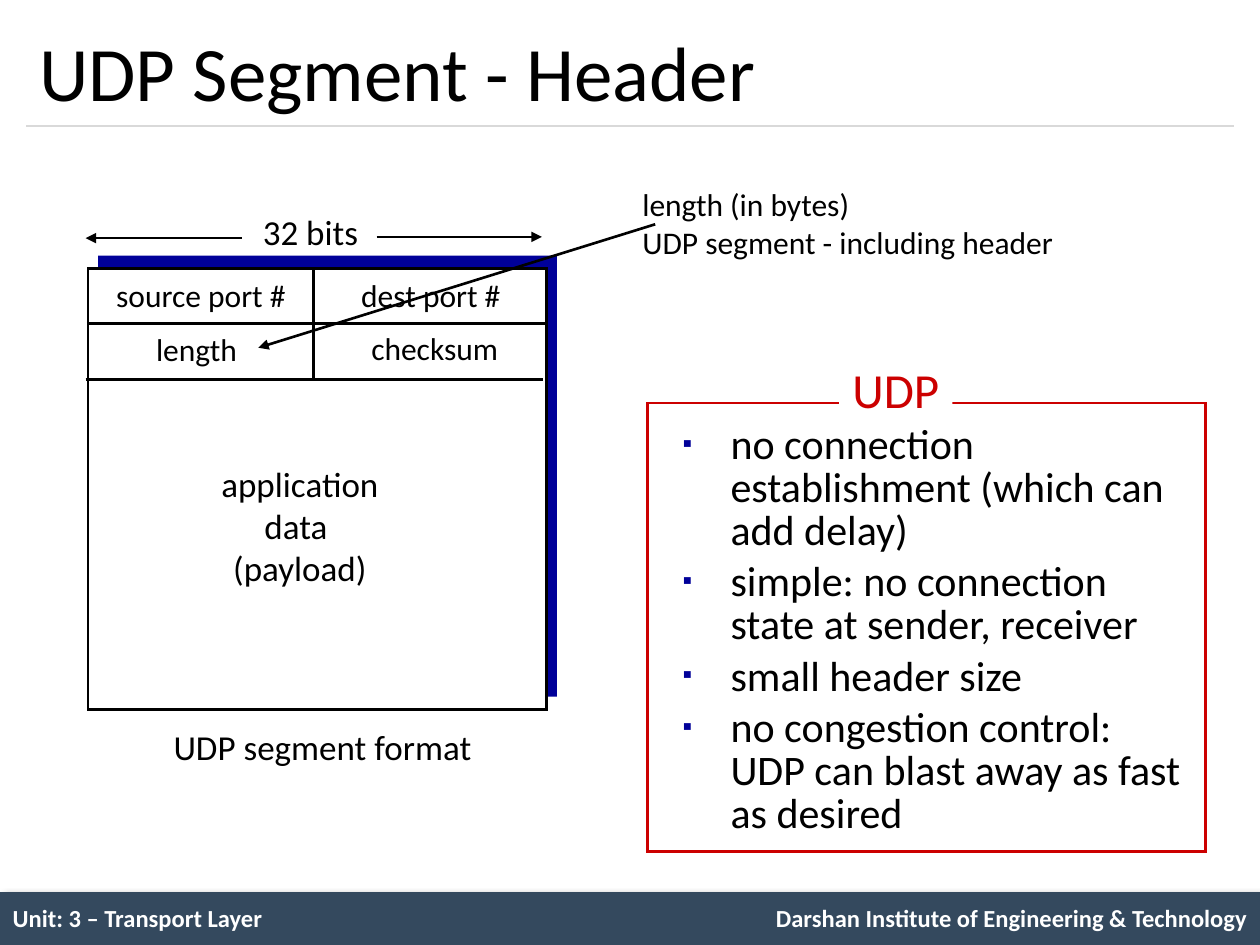
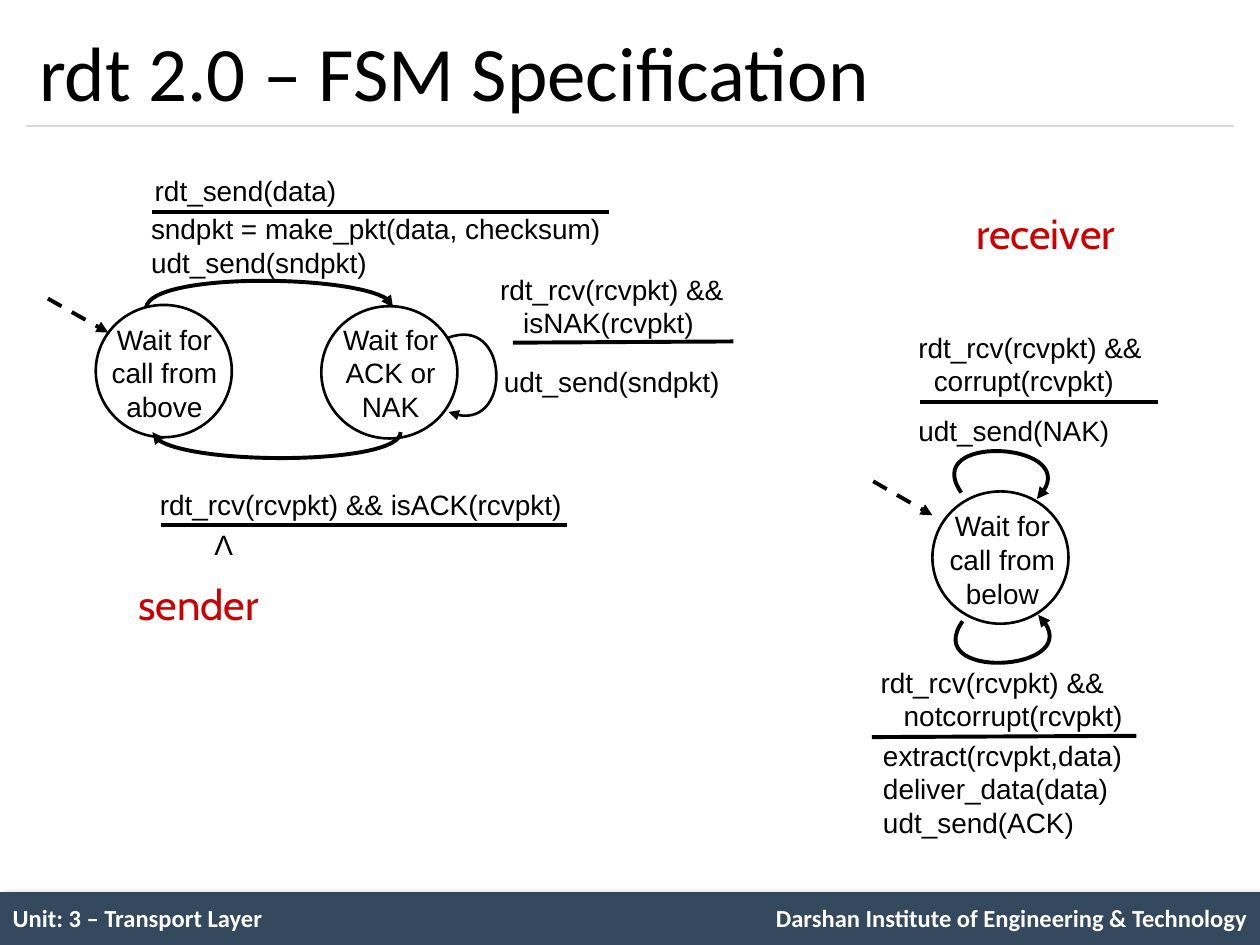
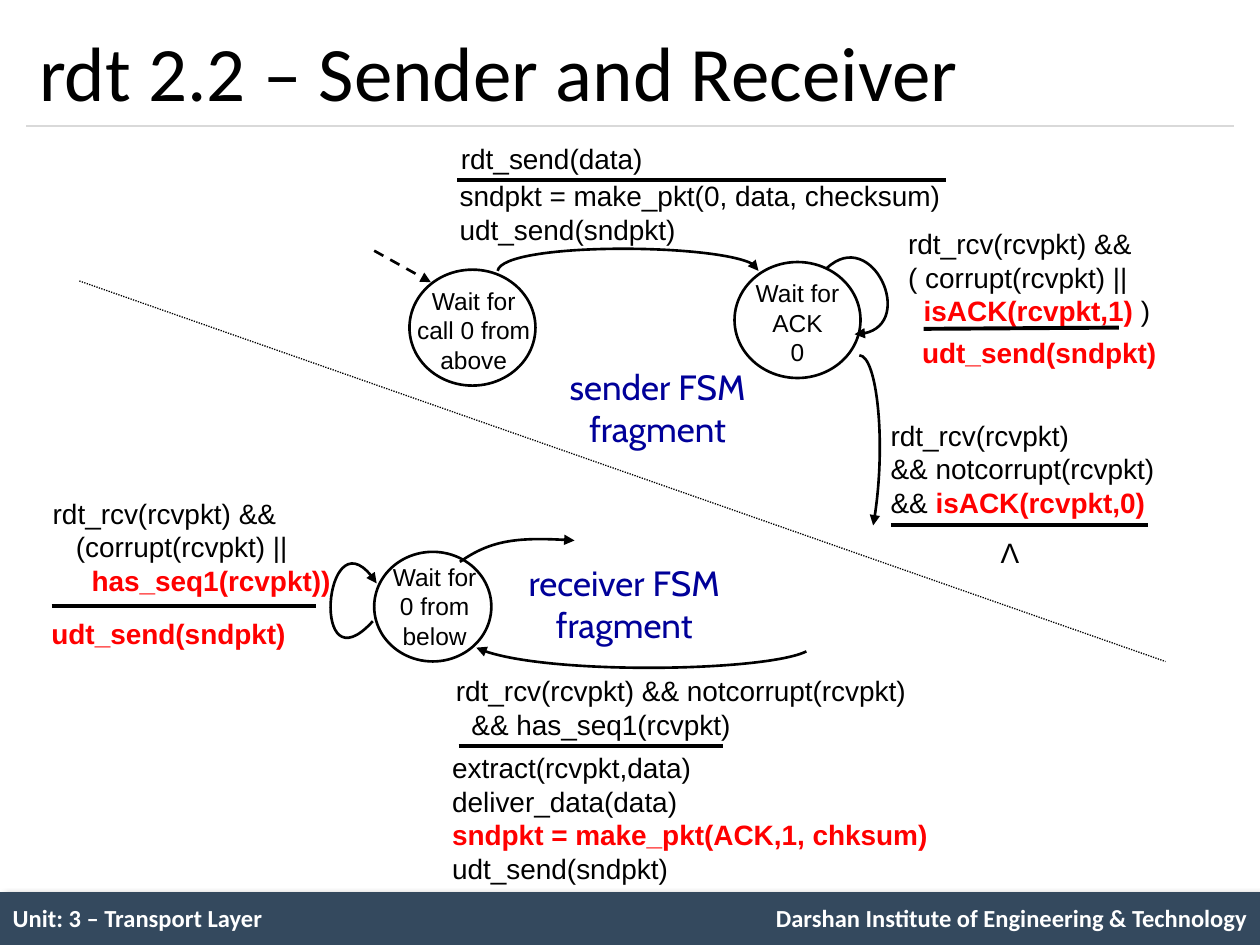
import lxml.etree
import pptx
import pptx.dml.color
import pptx.enum.dml
import pptx.enum.shapes
import pptx.enum.text
import pptx.oxml.ns
import pptx.util

BLACK = pptx.dml.color.RGBColor(0x00, 0x00, 0x00)
WHITE = pptx.dml.color.RGBColor(0xFF, 0xFF, 0xFF)
SLATE = pptx.dml.color.RGBColor(0x34, 0x49, 0x5E)
GREY = pptx.dml.color.RGBColor(0xD9, 0xD9, 0xD9)
NAVY = pptx.dml.color.RGBColor(0x00, 0x00, 0x99)
RED = pptx.dml.color.RGBColor(0xCC, 0x00, 0x00)
HOT = pptx.dml.color.RGBColor(0xFF, 0x00, 0x00)

LEFT = pptx.enum.text.PP_ALIGN.LEFT
MID = pptx.enum.text.PP_ALIGN.CENTER
RIGHT = pptx.enum.text.PP_ALIGN.RIGHT
CENTRE = pptx.enum.text.MSO_ANCHOR.MIDDLE
DASH = pptx.enum.dml.MSO_LINE.DASH
DOTS = pptx.enum.dml.MSO_LINE.ROUND_DOT
RECT = pptx.enum.shapes.MSO_SHAPE.RECTANGLE
OVAL = pptx.enum.shapes.MSO_SHAPE.OVAL
PLAIN = "{2D5ABB26-0587-4C30-8999-92F81FD0307C}"  # table style without grid

WIDE, HIGH = 10, 7.5
EDGE = 0.21
BAND = 7.08
THIN, BOLD = 1.5, 2.25

# Text styles: font, size, colour, alignment
STYLES = {
    "title": ("Calibri", 44, BLACK, LEFT),
    "foot": ("Calibri", 14, WHITE, LEFT),
    "foot end": ("Calibri", 14, WHITE, RIGHT),
    "code": ("Arial", 16, BLACK, LEFT),
    "mark": ("Arial", 16, BLACK, MID),
    "state": ("Arial", 16, BLACK, MID),
    "small state": ("Arial", 14, BLACK, MID),
    "role": ("Cabin", 24, RED, MID),
    "part": ("Cabin", 20, NAVY, MID),
    "field": ("Calibri", 18, BLACK, MID),
    "label": ("Calibri", 20, BLACK, MID),
    "callout": ("Calibri", 18, BLACK, LEFT),
    "points": ("Calibri", 24, BLACK, LEFT),
    "head": ("Calibri", 28, RED, MID),
}

# Shared footer
FOOT = [(5.08, "Unit: 3 – Transport Layer", "foot"), (0.67, "", "foot"),
        (4.25, "Darshan Institute of Engineering & Technology", "foot end")]

# Segment slide; texts: left, top, width, style, lines
SEGMENT = [
    (0.81, 2.14, 1.57, "field", ["source port #"]),
    (2.76, 2.14, 1.32, "field", ["dest port #"]),
    (1.13, 2.57, 0.86, "field", ["length"]),
    (2.84, 2.56, 1.22, "field", ["checksum"]),
    (1.98, 1.62, 0.97, "label", ["32 bits"]),
    (1.62, 3.62, 1.52, "label", ["application", "data ", "(payload)"]),
    (1.26, 5.71, 2.6, "label", ["UDP segment format"]),
    (5, 1.42, 3.5, "callout",
     ["length (in bytes)", "UDP segment - including header"]),
]
GRID = [(0.69, 2.57, 4.33, 2.57), (0.68, 3.01, 4.31, 3.01),
        (2.49, 2.56, 2.49, 2.13), (2.49, 3.01, 2.49, 2.58)]
ARROWS = [(2.99, 1.88, 4.3, 1.88), (1.92, 1.89, 0.68, 1.89),
          (5.2, 1.78, 2.05, 2.76)]
POINTS = [
    "no connection establishment (which can add delay)",
    "simple: no connection state at sender, receiver",
    "small header size",
    "no congestion control: UDP can blast away as fast as desired",
]

# State machine slides. Asterisks enclose the red bold words of a line.
# states: left, top, width, height; rules and starts: from, to;
# curves: line width, turn, four control points, arrow at the last
STOP_WAIT = {
    "title": "rdt 2.0 – FSM Specification",
    "start": BOLD,
    "states": [(0.76, 2.42, 1.08, 1.05), (2.55, 2.43, 1.08, 1.05),
               (7.4, 3.9, 1.08, 1.05)],
    "texts": [
        (0.65, 2.51, 1.31, "state", ["Wait for call from above"]),
        (2.51, 2.51, 1.18, "state", ["Wait for ACK or NAK"]),
        (7.3, 3.99, 1.31, "state", ["Wait for call from below"]),
        (1.13, 1.33, 2.47, "code", ["rdt_send(data)"]),
        (1.1, 1.63, 3.98, "code",
         ["sndpkt = make_pkt(data, checksum)", "udt_send(sndpkt)"]),
        (3.87, 2.11, 2.28, "code",
         ["rdt_rcv(rcvpkt) &&", "   isNAK(rcvpkt)"]),
        (3.9, 2.84, 1.93, "code", ["udt_send(sndpkt)"]),
        (1.17, 3.82, 3.88, "code", ["rdt_rcv(rcvpkt) && isACK(rcvpkt)"]),
        (1.6, 4.14, 0.35, "mark", ["Λ"]),
        (0.98, 4.54, 1.19, "role", ["sender"]),
        (7.62, 1.6, 1.36, "role", ["receiver"]),
        (7.19, 2.57, 2.1, "code",
         ["rdt_rcv(rcvpkt) &&", "  corrupt(rcvpkt)"]),
        (7.19, 3.23, 2, "code", ["udt_send(NAK)"]),
        (6.89, 5.23, 2.36, "code",
         ["rdt_rcv(rcvpkt) &&", "   notcorrupt(rcvpkt)"]),
        (6.91, 5.81, 2.34, "code",
         ["extract(rcvpkt,data)", "deliver_data(data)", "udt_send(ACK)"]),
    ],
    "rules": [(1.21, 1.68, 4.83, 1.68), (4.07, 2.72, 5.82, 2.71),
              (1.28, 4.17, 4.5, 4.17), (7.3, 3.19, 9.19, 3.19),
              (6.92, 5.85, 9.02, 5.84)],
    "starts": [(0.38, 2.37, 0.86, 2.64), (6.93, 3.82, 7.4, 4.09)],
    "curves": [
        (BOLD, 0, (1.16, 2.44), (1.2, 2.16), (3.12, 2.18), (3.12, 2.44)),
        (BOLD, 0, (3.18, 3.43), (3.18, 3.69), (1.25, 3.7), (1.21, 3.43)),
        (THIN, 0, (3.56, 2.68), (4.04, 2.5), (4.07, 3.48), (3.56, 3.27)),
        (BOLD, 0, (7.63, 3.91), (7.3, 3.44), (8.67, 3.51), (8.23, 3.96)),
        (BOLD, 0, (7.64, 4.93), (7.31, 5.4), (8.69, 5.33), (8.24, 4.88)),
    ],
}
NAK_FREE = {
    "title": "rdt 2.2 – Sender and Receiver",
    "start": THIN,
    "states": [(3.25, 2.14, 1, 0.92), (5.83, 2.08, 1, 0.92),
               (2.97, 4.38, 0.93, 0.87)],
    "texts": [
        (3.18, 2.22, 1.16, "small state", ["Wait for call 0 from above"]),
        (5.75, 2.16, 1.16, "small state", ["Wait for ACK", "0"]),
        (3.01, 4.41, 0.88, "small state", ["Wait for", "0 from below"]),
        (3.56, 1.07, 1.89, "code", ["rdt_send(data)"]),
        (3.55, 1.37, 4.07, "code",
         ["sndpkt = make_pkt(0, data, checksum)", "udt_send(sndpkt)"]),
        (7.11, 1.75, 2.8, "code",
         ["rdt_rcv(rcvpkt) &&", "( corrupt(rcvpkt) ||",
          "  *isACK(rcvpkt,1)* )"]),
        (7.22, 2.61, 2.32, "code", ["*udt_send(sndpkt)*"]),
        (6.97, 3.27, 2.64, "code",
         ["rdt_rcv(rcvpkt)", "&& notcorrupt(rcvpkt)",
          "&& *isACK(rcvpkt,0)*"]),
        (7.81, 4.2, 0.41, "mark", ["Λ"]),
        (4.41, 2.85, 1.62, "part", ["sender FSM", "fragment"]),
        (4.07, 4.41, 1.77, "part", ["receiver FSM", "fragment"]),
        (0.32, 3.89, 2.58, "code",
         ["rdt_rcv(rcvpkt) &&", "   (corrupt(rcvpkt) ||",
          "     *has_seq1(rcvpkt))*"]),
        (0.31, 4.84, 2.23, "code", ["*udt_send(sndpkt)*"]),
        (3.52, 5.3, 4.31, "code",
         ["rdt_rcv(rcvpkt) && notcorrupt(rcvpkt)",
          "  && has_seq1(rcvpkt)"]),
        (3.49, 5.91, 4.57, "code",
         ["extract(rcvpkt,data)", "deliver_data(data)",
          "*sndpkt = make_pkt(ACK,1, chksum)*", "udt_send(sndpkt)"]),
    ],
    "rules": [(3.63, 1.43, 7.51, 1.43), (7.33, 2.61, 8.88, 2.6),
              (7.07, 4.17, 9.11, 4.17), (0.41, 4.81, 2.51, 4.81),
              (3.64, 5.92, 5.74, 5.92)],
    "starts": [(2.97, 1.99, 3.42, 2.24)],
    "curves": [
        (THIN, 0, (3.95, 2.15), (3.99, 1.92), (6.02, 1.93), (6.02, 2.15)),
        (THIN, 337.4,
         (6.66, 2.01), (7.12, 1.84), (7.15, 2.78), (6.66, 2.58)),
        (THIN, 0, (6.82, 2.82), (6.96, 2.82), (7.04, 3.56), (6.93, 4.17)),
        (THIN, 0, (3.65, 4.46), (3.89, 4.29), (4.13, 4.26), (4.56, 4.29)),
        (THIN, 0, (6.4, 5.17), (6.07, 5.33), (4.24, 5.36), (3.78, 5.14)),
        (THIN, 0, (2.96, 4.93), (2.46, 5.48), (2.58, 4), (2.99, 4.63)),
    ],
}


def inch(*sizes):
    return [pptx.util.Inches(size) for size in sizes]


def name(tag):
    return pptx.oxml.ns.qn(tag)


def node(parent, tag, **attrs):
    return lxml.etree.SubElement(parent, name(tag), **attrs)


def write(frame, lines, style, bold=False):
    """Fill a text frame, one paragraph a line, run by run."""
    font, size, ink, align = STYLES[style]
    for i, words in enumerate(lines):
        para = frame.add_paragraph() if i else frame.paragraphs[0]
        para.alignment = align
        for j, part in enumerate(words.split("*")):
            if part:
                hot = j % 2 == 1
                run = para.add_run()
                run.text = part
                run.font.name = font
                run.font.size = pptx.util.Pt(size)
                run.font.bold = bold or hot
                run.font.color.rgb = HOT if hot else ink


def text(slide, left, top, width, style, lines, high=None):
    size, align = STYLES[style][1], STYLES[style][3]
    state = "state" in style
    high = high or (0.67 if state else len(lines) * size / 60 + 0.1)
    box = slide.shapes.add_textbox(*inch(left, top, width, high))
    box.text_frame.word_wrap = align == LEFT or state
    write(box.text_frame, lines, style)
    return box.text_frame


def stroke(item, width, ink=BLACK, dash=None, arrow=False):
    item.line.color.rgb = ink
    item.line.width = pptx.util.Pt(width)
    if dash:
        item.line.dash_style = dash
    edge = item.element.spPr.find(name("a:ln"))
    node(edge, "a:miter", lim="800000")
    if arrow:
        node(edge, "a:tailEnd", type="triangle")


def shape(slide, kind, left, top, width, high, fill=None, ink=None):
    item = slide.shapes.add_shape(kind, *inch(left, top, width, high))
    item.shadow.inherit = False
    if fill is None:
        item.fill.background()
    else:
        item.fill.solid()
        item.fill.fore_color.rgb = fill
    if ink is None:
        item.line.fill.background()
    else:
        stroke(item, THIN, ink)
    return item


def line(slide, ends, width=THIN, ink=BLACK, dash=None, arrow=False):
    item = slide.shapes.add_connector(
        pptx.enum.shapes.MSO_CONNECTOR.STRAIGHT, *inch(*ends))
    stroke(item, width, ink, dash, arrow)
    node(item.element.spPr, "a:effectLst")
    return item


def curve(slide, width, turn, *knots):
    """Draw a cubic curve with an arrow at its end."""
    dots = [inch(*knot) for knot in knots]
    pen = slide.shapes.build_freeform(*dots[0])
    pen.add_line_segments(dots[1:], close=False)
    item = pen.convert_to_shape()
    track = next(item.element.iter(name("a:path")))
    bend = node(track, "a:cubicBezTo")
    for leg in track.findall(name("a:lnTo")):
        bend.append(leg[0])
        track.remove(leg)
    item.rotation = turn
    item.shadow.inherit = False
    item.fill.background()
    stroke(item, width, arrow=True)


def dress(layout, slide):
    """Draw the band, rule and footer, and hand them to the layout."""
    for holder in list(layout.placeholders):
        if holder.placeholder_format.idx:
            layout.shapes.element.remove(holder.element)
    band = shape(slide, RECT, 0, BAND, WIDE, HIGH - BAND, SLATE)
    glow = node(band.element.spPr.find(name("a:effectLst")), "a:outerShdw",
                blurRad="50800", dist="38100", dir="2700000", algn="tl")
    node(node(glow, "a:srgbClr", val=str(BLACK)), "a:alpha", val="40000")
    rule = line(slide, (EDGE, 1, WIDE - EDGE, 1), 0.75, GREY)
    foot = slide.shapes.add_table(1, len(FOOT), *inch(0, BAND, WIDE, 0.43))
    table = foot.table
    table.first_row = table.horz_banding = False
    next(foot.element.iter(name("a:tableStyleId"))).text = PLAIN
    for i, (width, words, style) in enumerate(FOOT):
        table.columns[i].width = pptx.util.Inches(width)
        cell = table.cell(0, i)
        cell.fill.background()
        cell.vertical_anchor = CENTRE
        write(cell.text_frame, [words], style, bold=True)
    for item in (band, rule, foot):
        layout.shapes.element.append(item.element)


def page(deck, title):
    layout = deck.slide_layouts[5]
    slide = deck.slides.add_slide(layout)
    if len(deck.slides) == 1:
        dress(layout, slide)
    head = slide.shapes.title
    head.left, head.top, head.width, head.height = inch(
        EDGE, 0.12, WIDE - 2 * EDGE, 0.88)
    head.text_frame.auto_size = pptx.enum.text.MSO_AUTO_SIZE.NONE
    head.text_frame.vertical_anchor = CENTRE
    write(head.text_frame, [title], "title")
    return slide


def segment(deck):
    slide = page(deck, "UDP Segment - Header")

    # Packet, its header grid and labels
    shape(slide, RECT, 0.78, 2.03, 3.64, 3.5, NAVY)
    shape(slide, RECT, 0.7, 2.13, 3.64, 3.5, WHITE, BLACK)
    for note in SEGMENT:
        text(slide, *note)
    for ends in GRID:
        line(slide, ends)
    for ends in ARROWS:
        line(slide, ends, arrow=True)

    # Bulleted panel
    frame = text(slide, 5.32, 3.33, 4.17, "points", POINTS, 3.33)
    for i, para in enumerate(frame.paragraphs):
        props = para._p.get_or_add_pPr()
        props.set("marL", str(pptx.util.Inches(0.38)))
        props.set("indent", str(pptx.util.Inches(-0.38)))
        node(node(props, "a:buClr"), "a:srgbClr", val=str(NAVY))
        node(props, "a:buSzPct", val="65000")
        node(props, "a:buFont", typeface="Arial")
        node(props, "a:buChar", char="▪")
        para.line_spacing = 0.85
        para.space_before = pptx.util.Pt(4.8 if i else 0)
    shape(slide, RECT, 5.14, 3.2, 4.43, 3.56, ink=RED)
    tab = shape(slide, RECT, 6.66, 2.89, 0.9, 0.48, WHITE).text_frame
    tab.word_wrap = False
    tab.vertical_anchor = pptx.enum.text.MSO_ANCHOR.TOP
    write(tab, ["UDP"], "head")
    tab.paragraphs[0].line_spacing = 0.8


def machine(deck, plan):
    slide = page(deck, plan["title"])
    for place in plan["states"]:
        shape(slide, OVAL, *place, WHITE, BLACK)
    for note in plan["texts"]:
        text(slide, *note)
    for ends in plan["rules"]:
        line(slide, ends, BOLD)
    for ends in plan["starts"]:
        line(slide, ends, plan["start"], dash=DASH, arrow=True)
    for arc in plan["curves"]:
        curve(slide, *arc)
    return slide


def main():
    deck = pptx.Presentation()
    deck.slide_width, deck.slide_height = inch(WIDE, HIGH)
    segment(deck)
    machine(deck, STOP_WAIT)
    halves = machine(deck, NAK_FREE)
    line(halves, (0.63, 2.23, 9.25, 5.25), 0.75, dash=DOTS)
    deck.save("out.pptx")


if __name__ == "__main__":
    main()
